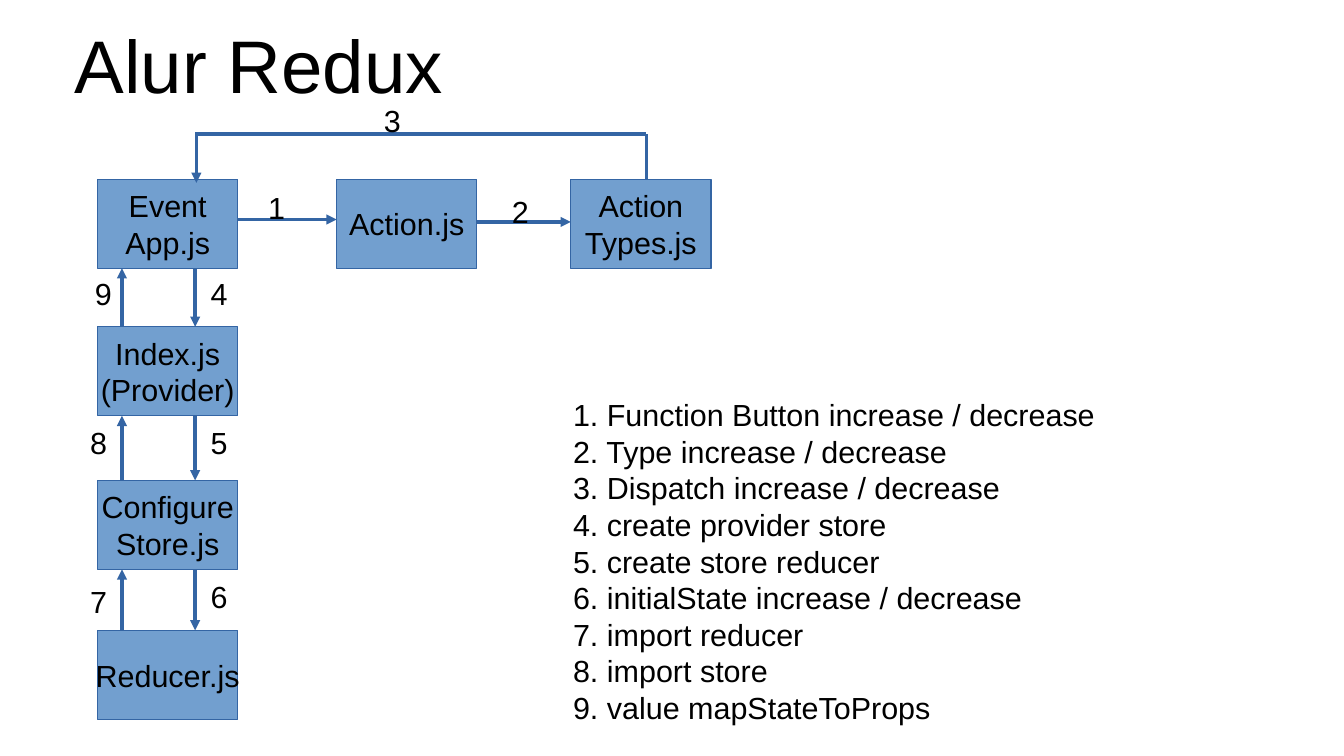
from lxml import etree
from pptx import Presentation
from pptx.dml.color import RGBColor
from pptx.enum.shapes import MSO_CONNECTOR, MSO_SHAPE
from pptx.enum.text import MSO_ANCHOR, MSO_AUTO_SIZE, PP_ALIGN
from pptx.oxml.ns import qn
from pptx.util import Inches, Pt

RECTANGLE = MSO_SHAPE.RECTANGLE
STRAIGHT = MSO_CONNECTOR.STRAIGHT
LEFT, CENTER = PP_ALIGN.LEFT, PP_ALIGN.CENTER
TOP, MIDDLE = MSO_ANCHOR.TOP, MSO_ANCHOR.MIDDLE
GROW = MSO_AUTO_SIZE.SHAPE_TO_FIT_TEXT

FONT = "Arial"
TEXT, BOX_FILL, OUTLINE = "000000", "729FCF", "3465A4"
BOX_W, BOX_H = 1.15, 0.73
COLUMN_X, ROW_Y = 0.8, 1.47
DOWN_X, UP_X = 1.6, 1.0      # arrow lanes between stacked modules
RETURN_X, RETURN_Y = 5.3, 1.1

ROW_MODULES = [(2.76, ["Action.js"]), (4.68, ["Action", "Types.js"])]
COLUMN_MODULES = [
    (ROW_Y, ["Event", "App.js"]),
    (2.68, ["Index.js", "(Provider)"]),
    (3.94, ["Configure", "Store.js"]),
    (5.17, ["Reducer.js"]),
]
STEP_NUMBERS = [
    ("1", 2.1, 1.5), ("2", 4.1, 1.53), ("3", 3.05, 0.79),
    ("4", 1.63, 2.21), ("5", 1.63, 3.43), ("6", 1.63, 4.69),
    ("7", 0.64, 4.73), ("8", 0.64, 3.43), ("9", 0.68, 2.21),
]
STEPS = [
    "1. Function Button increase / decrease",
    "2. Type increase / decrease",
    "3. Dispatch increase / decrease",
    "4. create provider store",
    "5. create store reducer",
    "6. initialState increase / decrease",
    "7. import reducer",
    "8. import store",
    "9. value mapStateToProps",
]


def color(hex_value):
    return RGBColor.from_string(hex_value)


def write(frame, lines, size=18, align=LEFT, anchor=TOP):
    frame.word_wrap = False
    frame.vertical_anchor = anchor
    for i, line in enumerate(lines):
        paragraph = frame.add_paragraph() if i else frame.paragraphs[0]
        paragraph.text = line
        paragraph.alignment = align
        paragraph.font.name = FONT
        paragraph.font.size = Pt(size)
        paragraph.font.color.rgb = color(TEXT)


def add_label(slide, lines, left, top, width, height):
    label = slide.shapes.add_textbox(
        Inches(left), Inches(top), Inches(width), Inches(height))
    write(label.text_frame, lines)
    label.text_frame.auto_size = GROW


def add_title(slide, text):
    title = slide.shapes.add_textbox(
        Inches(0.55), Inches(0.18), Inches(3.15), Inches(0.68))
    frame = title.text_frame
    frame.margin_left = frame.margin_right = Inches(0)
    frame.margin_top = frame.margin_bottom = Inches(0)
    write(frame, [text], 44, CENTER, MIDDLE)


def add_module(slide, lines, left, top):
    module = slide.shapes.add_shape(
        RECTANGLE, Inches(left), Inches(top), Inches(BOX_W), Inches(BOX_H))
    module.shadow.inherit = False
    module.fill.solid()
    module.fill.fore_color.rgb = color(BOX_FILL)
    module.line.color.rgb = color(OUTLINE)
    module.line.width = Pt(0)
    write(module.text_frame, lines, align=CENTER, anchor=MIDDLE)


def add_line(slide, x1, y1, x2, y2, arrow=True):
    link = slide.shapes.add_connector(
        STRAIGHT, Inches(x1), Inches(y1), Inches(x2), Inches(y2))
    link.line.color.rgb = color(OUTLINE)
    link.line.width = Pt(0)
    if arrow:
        etree.SubElement(link.line._get_or_add_ln(), qn("a:tailEnd"),
                         type="triangle")
    etree.SubElement(link._element.spPr, qn("a:effectLst"))


def main():
    prs = Presentation()
    prs.slide_width, prs.slide_height = Inches(11.02), Inches(6.2)
    slide = prs.slides.add_slide(prs.slide_layouts[6])

    add_title(slide, "Alur Redux")

    # Modules
    for top, lines in COLUMN_MODULES:
        add_module(slide, lines, COLUMN_X, top)
    for left, lines in ROW_MODULES:
        add_module(slide, lines, left, ROW_Y)

    # Arrows along the row
    action_x, types_x = [left for left, _ in ROW_MODULES]
    add_line(slide, COLUMN_X + BOX_W, 1.8, action_x, 1.8)
    add_line(slide, action_x + BOX_W, 1.82, types_x, 1.82)

    # Arrows down and up the column
    tops = [top for top, _ in COLUMN_MODULES]
    for upper, lower in zip(tops, tops[1:]):
        add_line(slide, DOWN_X, upper + BOX_H, DOWN_X, lower)
        add_line(slide, UP_X, lower, UP_X, upper + BOX_H)

    # Dispatch route back to the event
    add_line(slide, RETURN_X, ROW_Y, RETURN_X, RETURN_Y, arrow=False)
    add_line(slide, RETURN_X, RETURN_Y, DOWN_X, RETURN_Y, arrow=False)
    add_line(slide, 1.61, RETURN_Y, 1.61, 1.5)

    # Step numbers and their legend
    for number, left, top in STEP_NUMBERS:
        add_label(slide, [number], left, top, 0.34, 0.38)
    add_label(slide, STEPS, 4.6, 3.2, 4.48, 2.62)

    prs.save("out.pptx")


if __name__ == "__main__":
    main()
